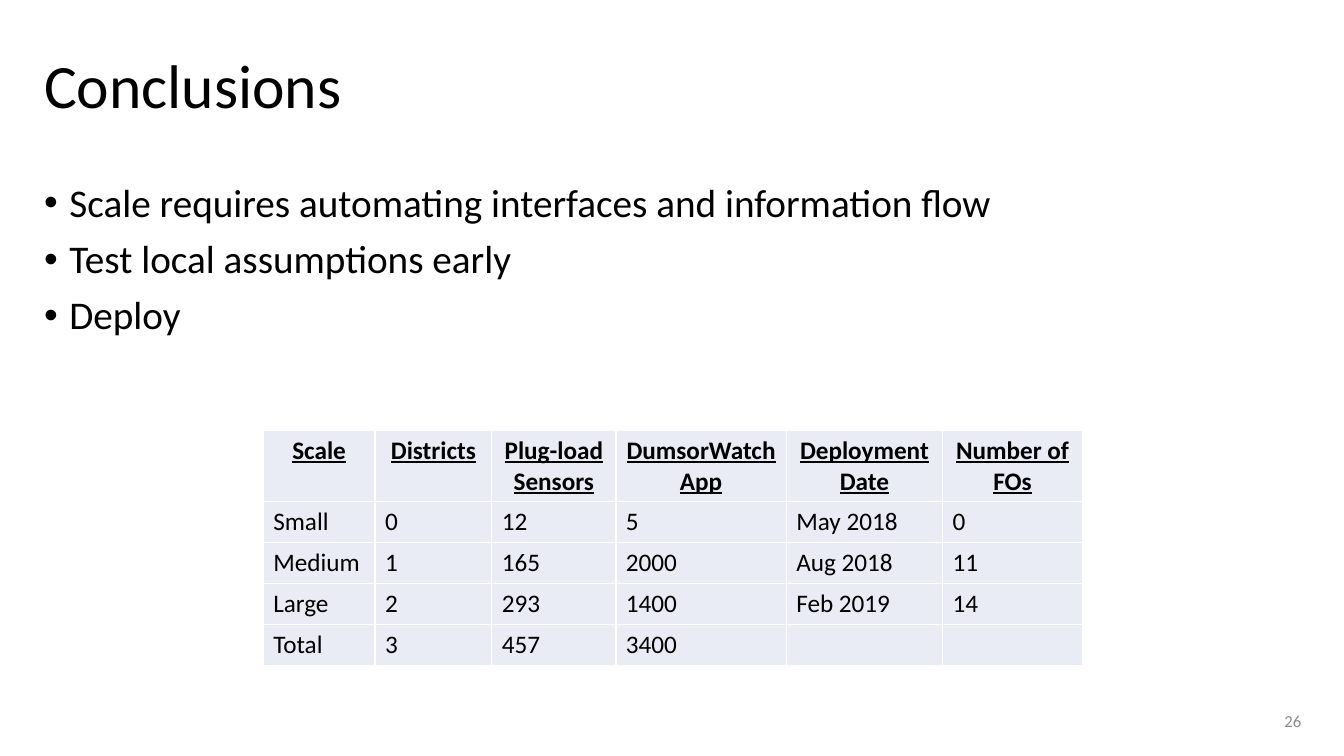
from pptx import Presentation
from pptx.dml.color import RGBColor
from pptx.enum.text import MSO_ANCHOR, PP_ALIGN
from pptx.oxml.ns import qn
from pptx.util import Pt
from lxml import etree

LEFT, MID, RIGHT = PP_ALIGN.LEFT, PP_ALIGN.CENTER, PP_ALIGN.RIGHT
TOP, CENTER = MSO_ANCHOR.TOP, MSO_ANCHOR.MIDDLE
FONT = "Calibri"
COLORS = {"ink": "000000", "gray": "8C8C8C", "cell": "E9EBF5", "rule": "FFFFFF"}

POINTS = [
    "Scale requires automating interfaces and information flow",
    "Test local assumptions early",
    "Deploy",
]
WIDTHS = [79.9, 83.5, 88.6, 121.7, 111.6, 100]
HEAD, ROW = 50.8, 29.2
ROWS = [
    ["Scale", "Districts", "Plug-load Sensors", "DumsorWatch App",
     "Deployment Date", "Number of FOs"],
    ["Small", "0", "12", "5", "May 2018", "0"],
    ["Medium", "1", "165", "2000", "Aug 2018", "11"],
    ["Large", "2", "293", "1400", "Feb 2019", "14"],
    ["Total", "3", "457", "3400", "", ""],
]


def write(para, text, size=18, color="ink", bold=False, line=False, align=LEFT):
    para.alignment = align
    if not text:
        return
    run = para.add_run()
    run.text = text
    font = run.font
    font.name, font.size = FONT, Pt(size)
    font.bold, font.underline = bold, line
    font.color.rgb = RGBColor.from_string(COLORS[color])


def add_box(slide, left, top, width, height, anchor=TOP):
    box = slide.shapes.add_textbox(Pt(left), Pt(top), Pt(width), Pt(height))
    frame = box.text_frame
    frame.word_wrap = True
    frame.vertical_anchor = anchor
    return frame


def add_dot(para, indent):
    props = para._p.get_or_add_pPr()
    props.set("marL", str(Pt(indent)))
    props.set("indent", str(-Pt(indent)))
    etree.SubElement(props, qn("a:buFont")).set("typeface", "Arial")
    etree.SubElement(props, qn("a:buChar")).set("char", "•")


def add_list(frame, items):
    for i, item in enumerate(items):
        para = frame.add_paragraph() if i else frame.paragraphs[0]
        para.line_spacing = 0.9
        if i:
            para.space_before = Pt(10)
        add_dot(para, 18)
        write(para, item, size=28)


def style_cell(cell):
    props = cell._tc.get_or_add_tcPr()
    for side in ("lnL", "lnR", "lnT", "lnB"):
        edge = etree.SubElement(props, qn(f"a:{side}"), w=str(Pt(1)))
        fill = etree.SubElement(edge, qn("a:solidFill"))
        etree.SubElement(fill, qn("a:srgbClr")).set("val", COLORS["rule"])
    cell.fill.solid()
    cell.fill.fore_color.rgb = RGBColor.from_string(COLORS["cell"])


def add_grid(slide, left, top):
    height = HEAD + ROW * (len(ROWS) - 1)
    grid = slide.shapes.add_table(len(ROWS), len(WIDTHS), Pt(left), Pt(top),
                                  Pt(sum(WIDTHS)), Pt(height)).table
    for col, width in zip(grid.columns, WIDTHS):
        col.width = Pt(width)
    for r, row in enumerate(ROWS):
        head = r == 0
        grid.rows[r].height = Pt(HEAD if head else ROW)
        for c, text in enumerate(row):
            cell = grid.cell(r, c)
            style_cell(cell)
            write(cell.text_frame.paragraphs[0], text, bold=head, line=head,
                  align=MID if head else LEFT)


def main():
    deck = Presentation()
    deck.slide_width, deck.slide_height = Pt(960), Pt(540)
    slide = deck.slides.add_slide(deck.slide_layouts[6])
    title = add_box(slide, 24.5, 10.8, 911.5, 104.4, CENTER).paragraphs[0]
    title.line_spacing = 0.9
    write(title, "Conclusions", size=44)
    add_list(add_box(slide, 24.5, 127.4, 911.5, 360.7), POINTS)
    page = add_box(slide, 720.7, 500.4, 216, 28.8, CENTER).paragraphs[0]
    write(page, "26", size=12, color="gray", align=RIGHT)
    add_grid(slide, 188, 307.5)
    deck.save("out.pptx")


if __name__ == "__main__":
    main()
